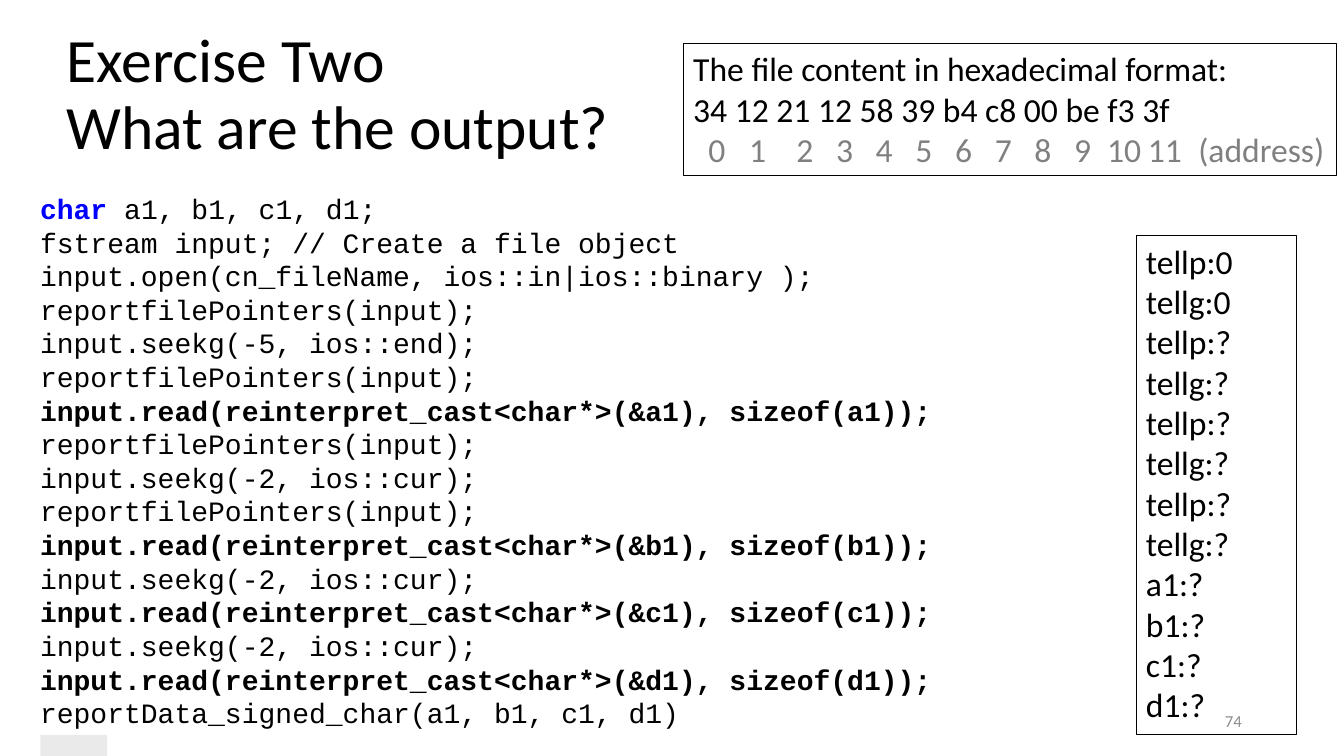
"""Build the file pointer exercise slide."""
from dataclasses import dataclass

from lxml import etree
from pptx import Presentation
from pptx.dml.color import RGBColor
from pptx.enum import shapes, text
from pptx.oxml.ns import qn
from pptx.util import Cm, Pt

TITLE = "Exercise Two\vWhat are the output?"
CODE = [
    "char a1, b1, c1, d1;",
    "fstream input; // Create a file object",
    "input.open(cn_fileName, ios::in|ios::binary );",
    "reportfilePointers(input);",
    "input.seekg(-5, ios::end);",
    "reportfilePointers(input);",
    "input.read(reinterpret_cast<char*>(&a1), sizeof(a1));",
    "reportfilePointers(input);",
    "input.seekg(-2, ios::cur);",
    "reportfilePointers(input);",
    "input.read(reinterpret_cast<char*>(&b1), sizeof(b1));",
    "input.seekg(-2, ios::cur);",
    "input.read(reinterpret_cast<char*>(&c1), sizeof(c1));",
    "input.seekg(-2, ios::cur);",
    "input.read(reinterpret_cast<char*>(&d1), sizeof(d1));",
    "reportData_signed_char(a1, b1, c1, d1)",
]
POINTERS = ["tellp:0", "tellg:0"] + ["tellp:?", "tellg:?"] * 3
ANSWERS = POINTERS + [f"{name}:?" for name in ("a1", "b1", "c1", "d1")]
FILE_LINES = [
    "The file content in hexadecimal format:",
    "34 12 21 12 58 39 b4 c8 00 be f3 3f",
]
ADDRESSES = [str(number) for number in range(12)] + ["(address)"]
ADDRESS_STOPS = [0.38, 1.41] + [2.6 + step for step in range(8)] + [10.43, 11.46, 12.73]
PAGE_NUMBER = "74"


@dataclass(frozen=True)
class Theme:
    """Colours, fonts and type sizes of the slide."""

    ink: str = "000000"
    keyword: str = "0000FF"
    address: str = "808080"
    number: str = "8C8C8C"
    highlight: str = "EAEAEA"
    body_font: str = "Calibri"
    code_font: str = "Courier New"
    title_size: int = 44
    body_size: int = 24
    code_size: int = 20
    number_size: int = 12


THEME = Theme()


def add_span(para, words, size=THEME.body_size, font=THEME.body_font, color=THEME.ink, bold=False):
    """Add formatted text to a paragraph."""
    para.add_run().text = words
    for span in para.runs:
        if span.font.size is None:
            span.font.size = Pt(size)
            span.font.name = font
            span.font.bold = bold
            span.font.color.rgb = RGBColor.from_string(color)


def next_para(frame, index):
    """Return the first paragraph of a frame, or a new one after it."""
    return frame.add_paragraph() if index else frame.paragraphs[0]


def add_text_box(page, left, top, width, height, outlined=False):
    """Add a wrapping text box and return its text frame."""
    box = page.shapes.add_textbox(Cm(left), Cm(top), Cm(width), Cm(height))
    if outlined:
        box.line.color.rgb = RGBColor.from_string(THEME.ink)
        box.line.width = Pt(0.75)
    box.text_frame.word_wrap = True
    return box.text_frame


def add_tab_stops(para, stops):
    """Give a paragraph left tab stops at lengths in centimetres."""
    tabs = etree.SubElement(para._p.get_or_add_pPr(), qn("a:tabLst"))
    for stop in stops:
        etree.SubElement(tabs, qn("a:tab"), pos=str(int(Cm(stop))), algn="l")


def add_title(page):
    """Place and format the title."""
    title = page.shapes.title
    title.left, title.top, title.width, title.height = Cm(1.42), Cm(0.58), Cm(29.21), Cm(3.68)
    frame = title.text_frame
    frame.auto_size = text.MSO_AUTO_SIZE.NONE
    frame.vertical_anchor = text.MSO_ANCHOR.MIDDLE
    frame.text = TITLE
    para = frame.paragraphs[0]
    para.alignment = text.PP_ALIGN.LEFT
    para.line_spacing = 0.9
    for span in para.runs:
        span.font.size = Pt(THEME.title_size)
        span.font.name = THEME.body_font
        span.font.color.rgb = RGBColor.from_string(THEME.ink)


def add_code(page):
    """Add the listing and the highlighted patch under it."""
    frame = add_text_box(page, 0.76, 4.7, 27.2, 13.8)
    style = {"size": THEME.code_size, "font": THEME.code_font}
    for index, line in enumerate(CODE):
        para = next_para(frame, index)
        if line.startswith("char "):
            add_span(para, "char ", color=THEME.keyword, bold=True, **style)
            line = line.removeprefix("char ")
        add_span(para, line, bold=line.startswith("input.read"), **style)
    patch = page.shapes.add_shape(
        shapes.MSO_SHAPE.RECTANGLE, Cm(1.02), Cm(18.52), Cm(1.68), Cm(0.53))
    patch.shadow.inherit = False
    patch.fill.solid()
    patch.fill.fore_color.rgb = RGBColor.from_string(THEME.highlight)
    patch.line.fill.background()


def add_file_content(page):
    """Add the box of hexadecimal bytes and their addresses."""
    frame = add_text_box(page, 17.22, 1.09, 16.46, 3.33, outlined=True)
    frame.margin_right = 0
    for index, line in enumerate(FILE_LINES):
        add_span(next_para(frame, index), line)
    para = frame.add_paragraph()
    add_tab_stops(para, ADDRESS_STOPS)
    add_span(para, "".join(f"\t{address}" for address in ADDRESSES), color=THEME.address)


def main():
    """Build and save the deck."""
    deck = Presentation()
    deck.slide_width, deck.slide_height = Cm(33.87), Cm(19.05)
    page = deck.slides.add_slide(deck.slide_layouts.get_by_name("Title Only"))
    add_title(page)
    add_code(page)
    answers = add_text_box(page, 28.63, 5.94, 4.04, 12.57, outlined=True)
    for index, line in enumerate(ANSWERS):
        add_span(next_para(answers, index), line)
    add_file_content(page)
    number = add_text_box(page, 23.93, 17.65, 7.62, 1.02)
    number.vertical_anchor = text.MSO_ANCHOR.MIDDLE
    number.paragraphs[0].alignment = text.PP_ALIGN.RIGHT
    add_span(number.paragraphs[0], PAGE_NUMBER, size=THEME.number_size, color=THEME.number)
    deck.save("out.pptx")


if __name__ == "__main__":
    main()
